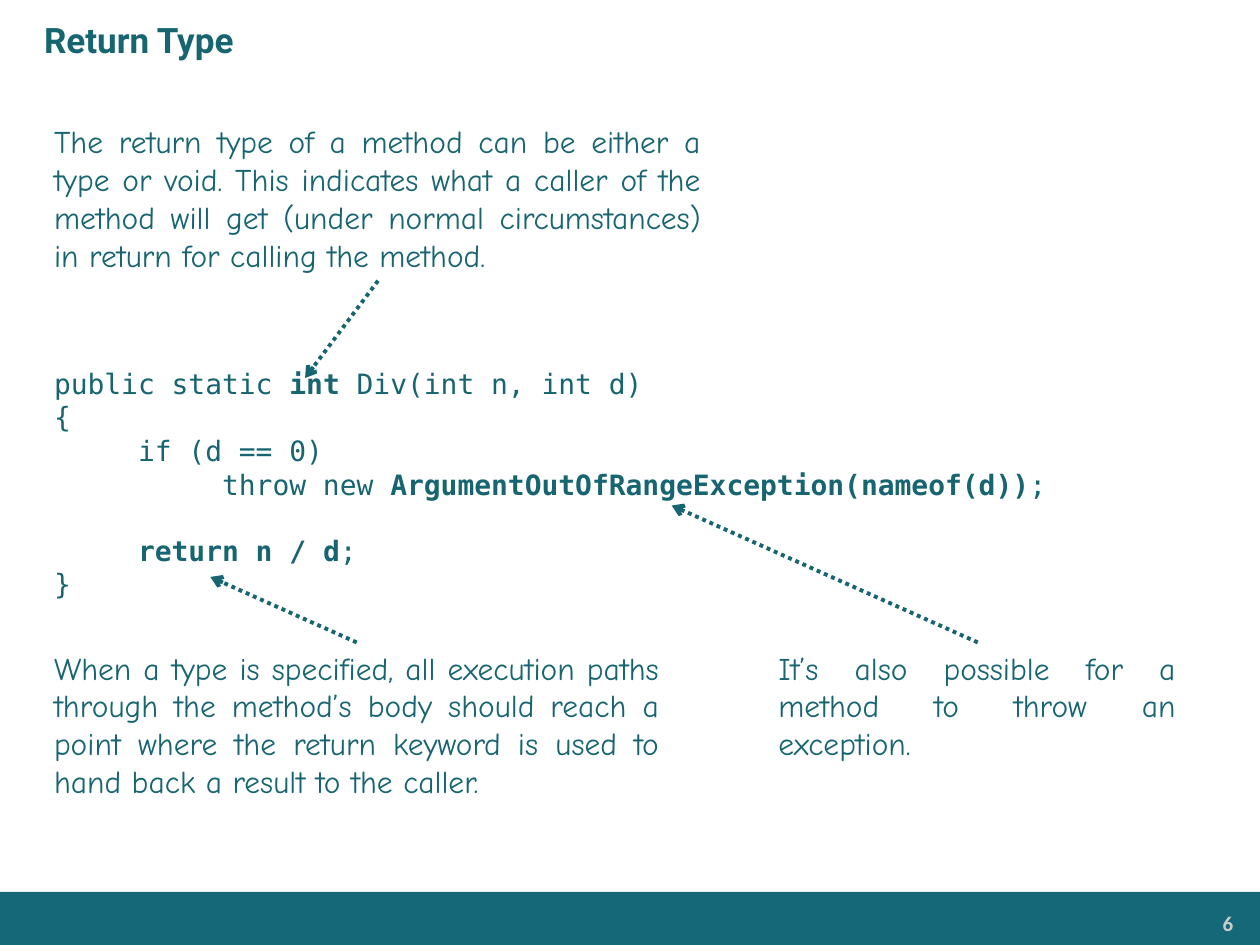
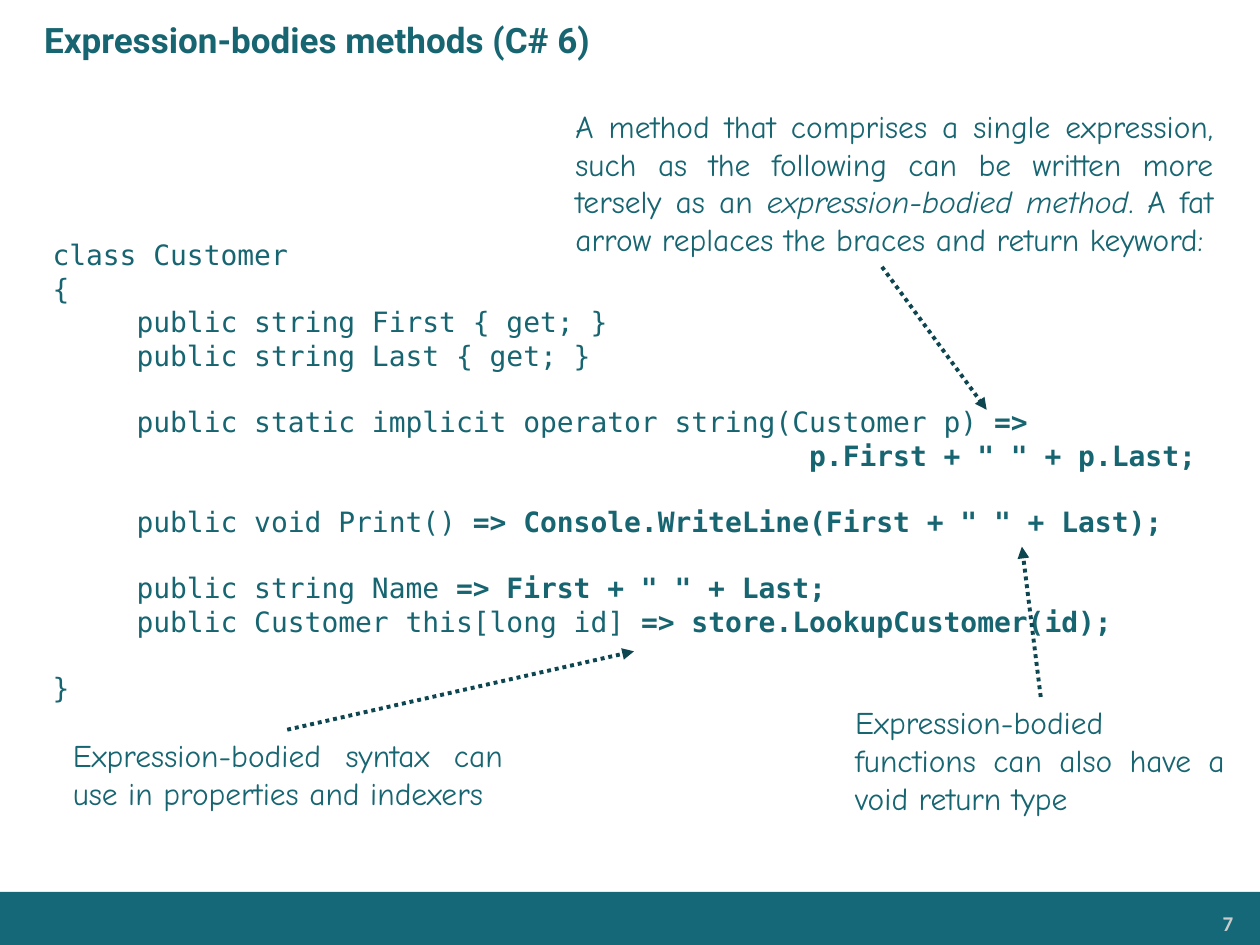
from lxml import etree
from pptx import Presentation
from pptx import util as u
from pptx.dml.color import RGBColor
from pptx.enum import dml, shapes, text
from pptx.oxml.ns import qn

TEAL = "176571"
DARK_TEAL = "0D4650"
BAND_TEAL = "146878"
PALE_GREY = "CCCCCC"
CODE_LINE_HEIGHT = u.Pt(18.6)

DIV_CODE = """\
public static **int** Div(int n, int d)
{
     if (d == 0)
          throw new **ArgumentOutOfRangeException(nameof(d))**;

     **return n / d**;
}"""

CUSTOMER_CODE = """\
class Customer
{
     public string First { get; }
     public string Last { get; }

     public static implicit operator string(Customer p) **=>**
                                             **p.First + " " + p.Last;**

     public void Print() **=> Console.WriteLine(First + " " + Last);**

     public string Name **=> First + " " + Last;**
     public Customer this[long id] **=> store.LookupCustomer(id);**

}"""


def color(hex_string):
    return RGBColor.from_string(hex_string)


def apply(target, values):
    for name, value in values.items():
        setattr(target, name, value)


class Deck:
    """Holds the shared style and the slide being built."""

    fonts = {
        "title": {"name": "Roboto", "size": u.Pt(20), "bold": True},
        "note": {"name": "Comic Neue", "size": u.Pt(18)},
        "code": {"name": "DejaVu Sans Mono", "size": u.Pt(16)},
        "number": {"name": "Calibri", "size": u.Pt(12), "bold": True},
    }

    def __init__(self):
        self.presentation = Presentation()
        apply(self.presentation, {"slide_width": u.Cm(25.4), "slide_height": u.Cm(19.05)})
        self.slide = None

    def start_slide(self, title, number):
        self.slide = self.presentation.slides.add_slide(self.presentation.slide_layouts[6])
        self.add_band()
        small_insets = {"margin_left": u.Cm(0.18), "margin_right": u.Cm(0.18),
                        "margin_top": u.Cm(0.1), "margin_bottom": u.Cm(0.1)}
        self.add_text((20.9, 18.26, 4.14, 0.71), str(number), "number", PALE_GREY,
                      frame_format=small_insets, alignment=text.PP_ALIGN.RIGHT)
        self.add_text((0, 0, 25.4, 1.6), title, "title",
                      frame_format={"margin_left": u.Cm(0.89),
                                    "vertical_anchor": text.MSO_ANCHOR.MIDDLE})

    def add_band(self):
        band = self.slide.shapes.add_shape(
            shapes.MSO_SHAPE.RECTANGLE, 0, u.Cm(17.98), u.Cm(25.4), u.Cm(1.07))
        band.shadow.inherit = False
        band.fill.solid()
        band.fill.fore_color.rgb = color(BAND_TEAL)
        band.line.fill.background()

    def add_text(self, box, content, font, hex_color=TEAL, emphasis="bold",
                 frame_format=None, alignment=text.PP_ALIGN.LEFT):
        """Text between ** marks gets the emphasis; an empty line becomes space before the next."""
        frame = self.slide.shapes.add_textbox(*map(u.Cm, box)).text_frame
        apply(frame, {"word_wrap": True, **(frame_format or {})})
        paragraph, gap = frame.paragraphs[0], 0
        for index, line in enumerate(content.split("\n")):
            if not line:
                gap = CODE_LINE_HEIGHT
                continue
            if index:
                paragraph = frame.add_paragraph()
            apply(paragraph, {"alignment": alignment, "space_before": gap})
            gap = 0
            for position, part in enumerate(line.split("**")):
                if part:
                    run = paragraph.add_run()
                    run.text = part
                    apply(run.font, self.fonts[font])
                    run.font.color.rgb = color(hex_color)
                    if position % 2:
                        setattr(run.font, emphasis, True)

    def add_note(self, box, content):
        self.add_text(box, content, "note", emphasis="italic",
                      alignment=text.PP_ALIGN.JUSTIFY)

    def add_code(self, box, content):
        self.add_text(box, content, "code")

    def add_arrow(self, start, end, hex_color=TEAL, head="arrow"):
        connector = self.slide.shapes.add_connector(
            shapes.MSO_CONNECTOR.STRAIGHT, *map(u.Cm, start + end))
        connector.line.color.rgb = color(hex_color)
        apply(connector.line, {"width": u.Pt(2.25),
                               "dash_style": dml.MSO_LINE.ROUND_DOT})
        properties = connector._element.spPr
        etree.SubElement(properties.find(qn("a:ln")), qn("a:tailEnd"), type=head)
        etree.SubElement(properties, qn("a:effectLst"))


def build_return_type(deck):
    deck.start_slide("Return Type", 6)
    deck.add_code((0.84, 7.26, 22.23, 5.05), DIV_CODE)
    deck.add_note((0.84, 2.34, 13.54, 3.33),
                  "The return type of a method can be either a type or void. This indicates "
                  "what a caller of the method will get (under normal circumstances) in "
                  "return for calling the method.")
    deck.add_note((15.44, 12.95, 8.51, 2.57),
                  "It’s also possible for a method to throw an exception.")
    deck.add_note((0.84, 12.95, 12.7, 3.33),
                  "When a type is specified, all execution paths through the method’s body "
                  "should reach a point where the return keyword is used to hand back a "
                  "result to the caller.")
    for start, end in (((7.62, 5.66), (6.15, 7.62)),
                       ((7.19, 12.95), (4.24, 11.63)),
                       ((19.71, 12.95), (13.54, 10.19))):
        deck.add_arrow(start, end)


def build_expression_bodies(deck):
    deck.start_slide("Expression-bodies methods (C# 6)", 7)
    deck.add_note((11.35, 2.03, 13.36, 3.33),
                  "A method that comprises a single expression, such as the following can be "
                  "written more tersely as an **expression-bodied method**. A fat arrow "
                  "replaces the braces and return keyword:")
    deck.add_code((0.81, 4.67, 23.7, 9.83), CUSTOMER_CODE)
    deck.add_note((16.99, 14.05, 7.95, 2.57),
                  "Expression-bodied functions can also have a void return type")
    deck.add_note((1.22, 14.71, 9.17, 1.8),
                  "Expression-bodied syntax can use in properties and indexers")
    for start, end in (((17.78, 5.38), (19.89, 8.26)),
                       ((20.98, 14.05), (20.6, 11.02)),
                       ((5.79, 14.71), (12.78, 13.13))):
        deck.add_arrow(start, end, DARK_TEAL, "triangle")


def main():
    deck = Deck()
    build_return_type(deck)
    build_expression_bodies(deck)
    deck.presentation.save("out.pptx")


if __name__ == "__main__":
    main()
